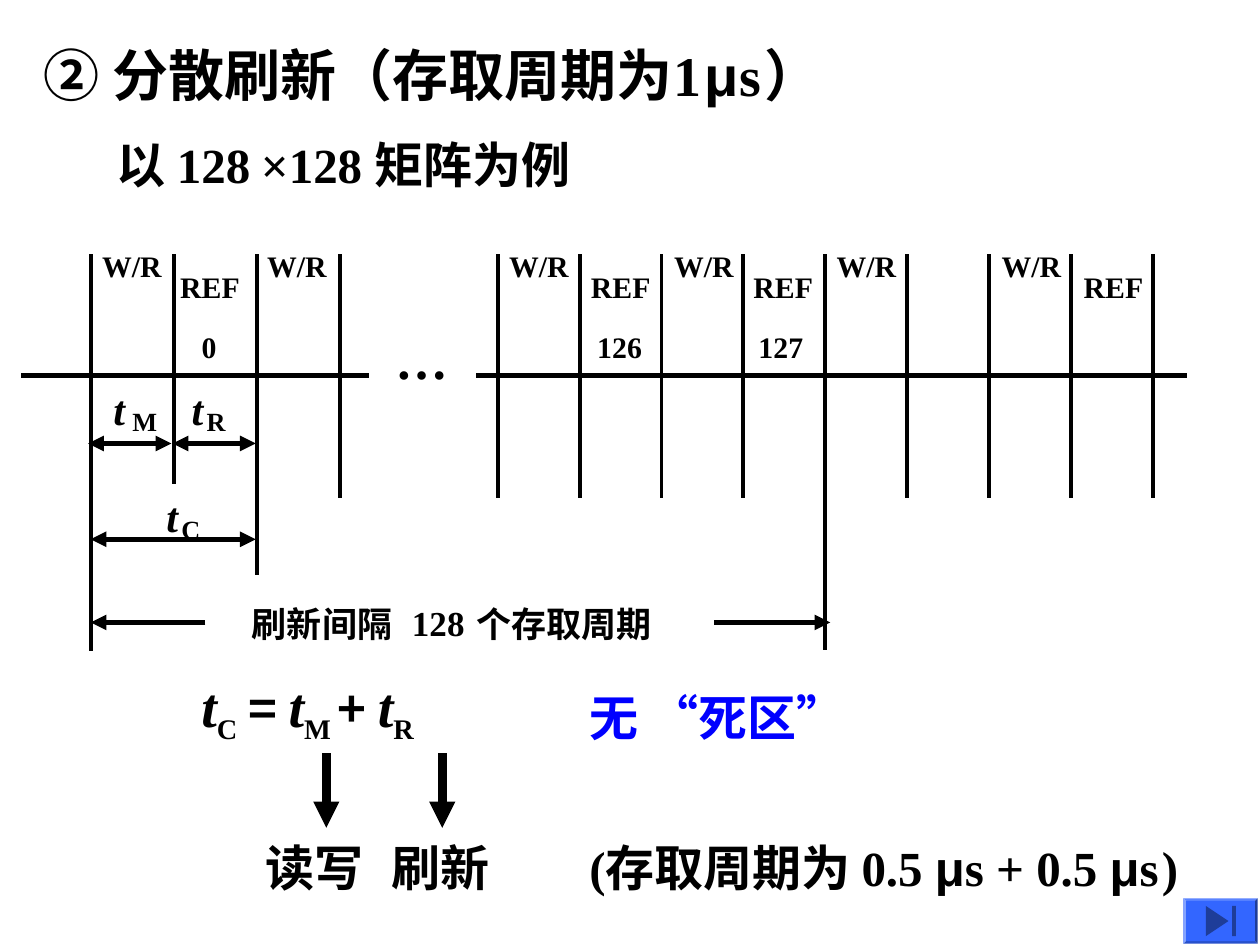
from lxml import etree
from pptx import Presentation
from pptx.dml.color import RGBColor
from pptx.enum.shapes import MSO_CONNECTOR, MSO_SHAPE
from pptx.enum.text import MSO_AUTO_SIZE
from pptx.oxml.ns import qn
from pptx.util import Inches, Pt

LINE = MSO_CONNECTOR.STRAIGHT
BUTTON = MSO_SHAPE.ACTION_BUTTON_END
BEVEL = MSO_SHAPE.BEVEL
FIT = MSO_AUTO_SIZE.SHAPE_TO_FIT_TEXT
BLACK = RGBColor(0, 0, 0)
BLUE = RGBColor(0, 0, 255)
SKY = RGBColor(0x33, 0x66, 0xFF)
SERIF = "Times New Roman"
SANS = "Arial"
HAN = "Noto Sans CJK SC"


class Board:
    def __init__(self, slide):
        self.shapes = slide.shapes

    def box(self, x, y, w, h, wrap):
        shape = self.shapes.add_textbox(Inches(x), Inches(y), Inches(w), Inches(h))
        frame = shape.text_frame
        frame.word_wrap = wrap
        frame.auto_size = FIT
        return frame

    def style(self, run, size, face=SERIF, color=BLACK, slant=False, low=False):
        font = run.font
        font.size = Pt(size)
        font.bold = True
        font.italic = slant
        font.name = face
        font.color.rgb = color
        props = run._r.get_or_add_rPr()
        if low:
            props.set("baseline", "-25000")
        east = etree.Element(qn("a:ea"), typeface=HAN)
        props.find(qn("a:latin")).addnext(east)

    def rich(self, x, y, w, h, parts, color=BLACK):
        para = self.box(x, y, w, h, True).paragraphs[0]
        for text, size, face, *marks in parts:
            run = para.add_run()
            run.text = text
            self.style(run, size, face, color, "slant" in marks, "low" in marks)

    def label(self, x, y, w, h, text, size, face=SERIF, slant=False):
        frame = self.box(x, y, w, h, False)
        frame.margin_left = frame.margin_right = 0
        frame.margin_top = frame.margin_bottom = 0
        frame.text = text
        self.style(frame.paragraphs[0].runs[0], size, face, slant=slant)

    def line(self, x1, y1, x2, y2, width=2.25, ends=()):
        link = self.shapes.add_connector(
            LINE, Inches(x1), Inches(y1), Inches(x2), Inches(y2))
        link.line.color.rgb = BLACK
        link.line.width = Pt(width)
        stroke = link.line._get_or_add_ln()
        for end in ends:
            etree.SubElement(stroke, qn(f"a:{end}"), type="triangle")
        etree.SubElement(link._element.spPr, qn("a:effectLst"))

    def solid(self, kind, x, y, w, h):
        shape = self.shapes.add_shape(
            kind, Inches(x), Inches(y), Inches(w), Inches(h))
        shape.shadow.inherit = False
        shape.fill.solid()
        shape.fill.fore_color.rgb = SKY
        shape.line.fill.background()
        return shape


def heads(board):
    board.rich(0.25, 0.27, 7.33, 0.64, [
        ("② 分散刷新（存取周期为1", 32, SERIF), (" ", 8, SERIF),
        ("μ", 32, SANS), ("s", 32, SERIF), (" ", 8, HAN), ("）", 32, SERIF)])
    board.rich(0.83, 1.02, 5.25, 0.57, [
        ("以 128", 28, SERIF), (" ", 24, SERIF), ("×128 矩阵为例", 28, SERIF)])


def chart(board):
    axis, top = 2.98, 2.02
    for x1, x2 in ((0.17, 2.93), (3.78, 9.42)):
        board.line(x1, axis, x2, axis, 3)
    left = (5.17, 3.84, 4.56, 3.95)
    right = (3.95,) * 4 + (5.16,) + (3.95,) * 4
    for start, step, lows in ((0.72, 0.66, left), (3.95, 0.65, right)):
        for i, low in enumerate(lows):
            x = start + step * i
            board.line(x, top, x, low)
    for x in (0.81, 2.12, 4.04, 5.35, 6.64, 7.95):
        board.label(x, 1.97, 0.52, 0.28, "W/R", 17)
    for x in (1.43, 4.69, 5.98, 8.6):
        board.label(x, 2.13, 0.52, 0.28, "REF", 17)
    for x, w, text in ((1.6, 0.15, "0"), (4.74, 0.4, "126"), (6.02, 0.4, "127")):
        board.label(x, 2.61, w, 0.28, text, 17)
    board.rich(3.04, 2.55, 0.87, 0.6, [("…", 30, SERIF)])


def spans(board):
    for x, y, gap, text in (
            (0.9, 3.04, 0.15, "M"),
            (1.52, 3.04, 0.12, "R"),
            (1.32, 3.89, 0.12, "C")):
        board.label(x, y, 0.12, 0.4, "t", 24, slant=True)
        board.label(x + gap, y + 0.18, 0.24, 0.25, text, 15)
    both = ("headEnd", "tailEnd")
    for x1, x2, y in ((0.7, 1.36, 3.52), (1.37, 2.03, 3.52), (0.72, 2.03, 4.28)):
        board.line(x1, y, x2, y, 3, both)
    for x1, x2 in ((1.63, 0.72), (5.67, 6.59)):
        board.line(x1, 4.94, x2, 4.94, 3, ("tailEnd",))
    board.label(2, 4.78, 1.2, 0.33, "刷新间隔", 20, HAN)
    board.label(3.27, 4.77, 0.46, 0.33, "128", 20)
    board.label(3.78, 4.78, 1.5, 0.33, "个存取周期", 20, HAN)


def sums(board):
    time = ("t", 32, SERIF, "slant")
    board.rich(1.5, 5.28, 3.17, 0.69, [
        time, ("C", 28, SERIF, "low"), (" = ", 28, HAN),
        time, ("M ", 28, SERIF, "low"), ("+ ", 28, HAN),
        time, ("R", 28, SERIF, "low")])
    for x in (2.59, 3.51):
        board.line(x, 5.98, x, 6.57, 5, ("tailEnd",))
    for x, text in ((2.01, "读写"), (3.01, "刷新")):
        board.rich(x, 6.6, 1.25, 0.57, [(text, 28, SERIF)])
    board.rich(4.58, 5.41, 3.17, 0.57, [("无 “死区”", 28, SERIF)], BLUE)
    board.rich(4.58, 6.6, 5.42, 0.57, [
        ("(存取周期为 0.5 ", 28, SERIF), ("μ", 28, SANS),
        ("s + 0.5 ", 28, SERIF), ("μ", 28, SANS), ("s", 28, SERIF),
        (" ", 8, HAN), (")", 28, SERIF)])
    rim = board.solid(BEVEL, 9.39, 7.13, 0.59, 0.36)
    rim.adjustments[0] = 0.06
    board.solid(BUTTON, 9.42, 7.15, 0.54, 0.32)


def main():
    deck = Presentation()
    deck.slide_width = Inches(10)
    deck.slide_height = Inches(7.5)
    board = Board(deck.slides.add_slide(deck.slide_layouts[6]))
    for draw in (heads, chart, spans, sums):
        draw(board)
    deck.save("out.pptx")


if __name__ == "__main__":
    main()
